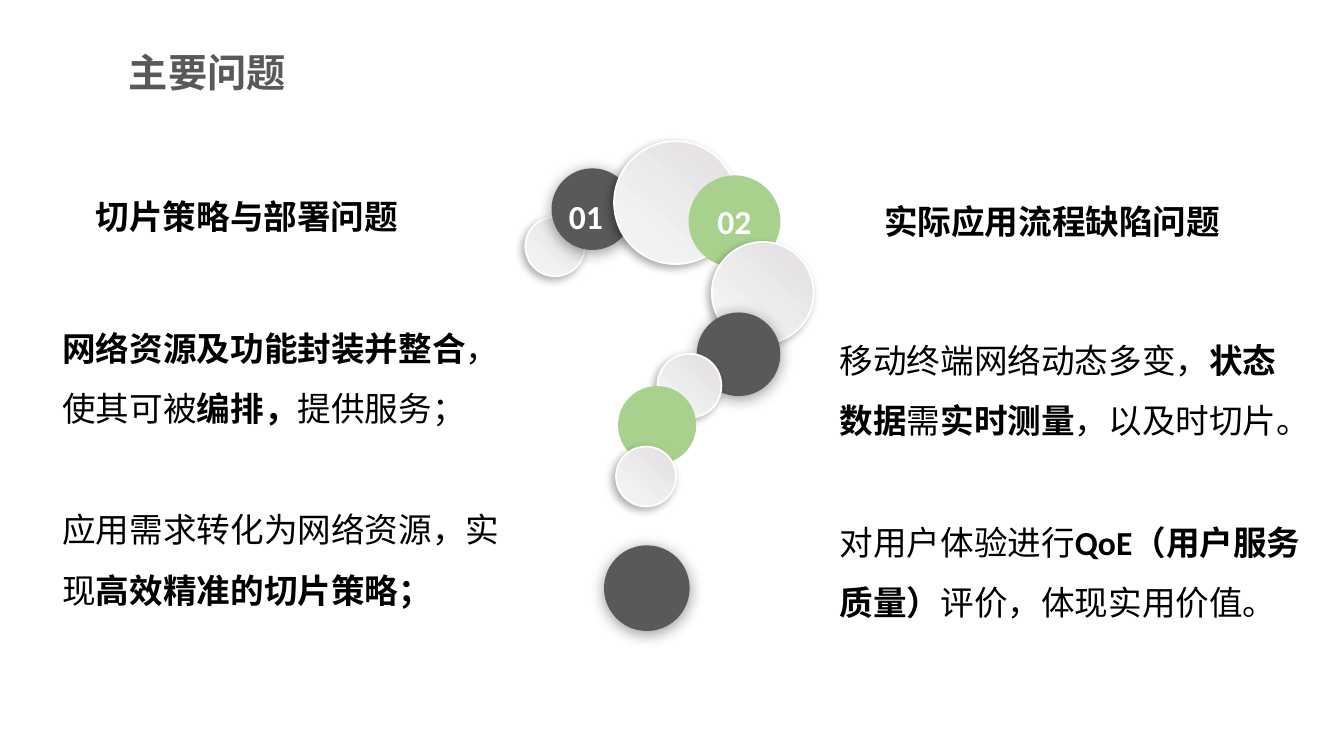
"""Build the slide on the main problems, with a question mark made of discs."""
from dataclasses import dataclass

from lxml import etree
from pptx import Presentation
from pptx.dml.color import RGBColor
from pptx.enum.shapes import MSO_SHAPE
from pptx.enum.text import MSO_ANCHOR, MSO_AUTO_SIZE, PP_ALIGN
from pptx.oxml.ns import qn
from pptx.slide import Slide
from pptx.text.text import TextFrame
from pptx.util import Inches, Pt

OVAL = MSO_SHAPE.OVAL
MIDDLE = MSO_ANCHOR.MIDDLE
GROW = MSO_AUTO_SIZE.SHAPE_TO_FIT_TEXT
LEFT, CENTER = PP_ALIGN.LEFT, PP_ALIGN.CENTER

PAGE_WIDTH, PAGE_HEIGHT = Inches(13.33), Inches(7.5)
ROWS = 75
CELL = PAGE_HEIGHT / ROWS


@dataclass(frozen=True)
class Theme:
    """Colours, fonts and type sizes of the slide."""
    gray: str = "595959"
    green: str = "A9D18E"
    white: str = "FFFFFF"
    black: str = "000000"
    pearl_dark: str = "E2DDE1"
    pearl_light: str = "F2F2F2"
    title_font: str = "Noto Sans CJK SC"
    body_font: str = "Calibri"
    title_size: float = 28
    body_size: float = 24
    line_spacing: float = 1.5
    paragraph_gap: float = 43.5
    rim: float = 1.25


THEME = Theme()


@dataclass(frozen=True)
class Shadow:
    """Outer shadow: opacity in percent, blur and distance in points, angle in degrees."""
    opacity: int
    blur: int
    distance: int
    angle: int


SOFT_SHADOW = Shadow(32, 6, 3, 135)
DEEP_SHADOW = Shadow(40, 11, 2, 90)


@dataclass(frozen=True)
class Disc:
    """Disc placed by grid column, row and diameter; no colour means pearl."""
    column: float
    row: float
    diameter: float
    color: str | None = None
    shadow: Shadow | None = SOFT_SHADOW
    label: str = ""


@dataclass(frozen=True)
class Span:
    """Piece of text in one weight."""
    text: str
    bold: bool = False


@dataclass(frozen=True)
class TextBlock:
    """Text box placed on the grid, with its paragraphs and type."""
    column: float
    row: float
    width: float
    height: float
    paragraphs: list[list[Span]]
    font: str = THEME.body_font
    size: float = THEME.body_size
    color: str = THEME.black
    align: PP_ALIGN = LEFT
    spacing: float = THEME.line_spacing


DISCS = [
    Disc(52.1, 21.5, 5.9),
    Disc(54.7, 16.7, 8.1, THEME.gray, DEEP_SHADOW),
    Disc(60.9, 14, 12.2),
    Disc(68.3, 17.4, 9.1, THEME.green, None, "02"),
    Disc(70.6, 24, 10.1),
    Disc(69.1, 31, 8.3, THEME.gray, DEEP_SHADOW),
    Disc(65.2, 35.1, 6.35),
    Disc(61.3, 38.3, 7.75, THEME.green, None),
    Disc(61.1, 44.3, 5.95),
    Disc(59.9, 54.1, 8.5, THEME.gray, DEEP_SHADOW),
]

BLOCKS = [
    TextBlock(11.8, 4.3, 42.8, 5.7, [[Span("主要问题", True)]],
              THEME.title_font, THEME.title_size, THEME.gray, spacing=1.0),
    TextBlock(54, 18.9, 8.2, 5, [[Span("01", True)]],
              color=THEME.white, align=CENTER, spacing=1.0),
    TextBlock(8.5, 16.9, 40.8, 7.1, [[Span("切片策略与部署问题", True)]]),
    TextBlock(82.3, 31.2, 48.3, 31.3, [
        [Span("移动终端网络动态多变，"), Span("状态数据", True), Span("需"),
         Span("实时测量", True), Span("，以及时切片。")],
        [Span("对用户体验进行"), Span("QoE（用户服务质量）", True),
         Span("评价，体现实用价值。")],
    ]),
    TextBlock(86.7, 17.4, 38.2, 7.1, [[Span("实际应用流程缺陷问题", True)]]),
    TextBlock(5.2, 30, 46.2, 31.3, [
        [Span("网络资源及功能封装并整合", True), Span("，使其可被"),
         Span("编排，", True), Span("提供服务；")],
        [Span("应用需求转化为网络资源，实现"), Span("高效精准的切片策略；", True)],
    ]),
]


def grid(*cells: float) -> list[int]:
    """Turn grid cells into slide lengths."""
    return [round(cell * CELL) for cell in cells]


def apply(target: object, values: dict[str, object]) -> None:
    """Set every named attribute on the target."""
    for name, value in values.items():
        setattr(target, name, value)


def write(frame: TextFrame, block: TextBlock) -> None:
    """Fill a text frame with the paragraphs of a block."""
    for index, spans in enumerate(block.paragraphs):
        para = frame.add_paragraph() if index else frame.paragraphs[0]
        apply(para, {"alignment": block.align, "line_spacing": block.spacing,
                     "space_before": Pt(THEME.paragraph_gap if index else 0)})
        for span in spans:
            run = para.add_run()
            run.text = span.text
            apply(run.font, {"name": block.font, "size": Pt(block.size), "bold": span.bold})
            run.font.color.rgb = RGBColor.from_string(block.color)
            properties = run._r.get_or_add_rPr()
            etree.SubElement(properties, qn("a:ea"), typeface=block.font)


def draw_block(page: Slide, block: TextBlock) -> None:
    """Add a text box."""
    box = page.shapes.add_textbox(*grid(block.column, block.row, block.width, block.height))
    apply(box.text_frame, {"word_wrap": True, "auto_size": GROW})
    write(box.text_frame, block)


def draw_disc(page: Slide, disc: Disc) -> None:
    """Add a disc with its fill, rim, shadow and label."""
    shape = page.shapes.add_shape(
        OVAL, *grid(disc.column, disc.row, disc.diameter, disc.diameter))
    if disc.color:
        shape.fill.solid()
        shape.fill.fore_color.rgb = RGBColor.from_string(disc.color)
        shape.line.fill.background()
    else:
        shape.fill.gradient()
        shape.fill.gradient_angle = 230
        stops = ((THEME.pearl_dark, 0), (THEME.pearl_light, 0.76))
        for stop, (color, position) in zip(shape.fill.gradient_stops, stops):
            stop.color.rgb = RGBColor.from_string(color)
            stop.position = position
        shape.line.color.rgb = RGBColor.from_string(THEME.white)
        shape.line.width = Pt(THEME.rim)
    shape.shadow.inherit = False
    if disc.shadow:
        effects = shape._element.spPr.find(qn("a:effectLst"))
        outer = etree.SubElement(
            effects, qn("a:outerShdw"), blurRad=str(Pt(disc.shadow.blur)),
            dist=str(Pt(disc.shadow.distance)), dir=str(disc.shadow.angle * 60000),
            algn="ctr", rotWithShape="0")
        tint = etree.SubElement(outer, qn("a:srgbClr"), val=THEME.black)
        etree.SubElement(tint, qn("a:alpha"), val=str(disc.shadow.opacity * 1000))
    if disc.label:
        shape.text_frame.vertical_anchor = MIDDLE
        write(shape.text_frame, TextBlock(
            disc.column, disc.row, disc.diameter, disc.diameter,
            [[Span(disc.label, True)]], color=THEME.white, align=CENTER, spacing=1.0))


def main() -> None:
    """Build and save the deck."""
    deck = Presentation()
    apply(deck, {"slide_width": PAGE_WIDTH, "slide_height": PAGE_HEIGHT})
    page = deck.slides.add_slide(deck.slide_layouts[6])
    for disc in DISCS:
        draw_disc(page, disc)
    for block in BLOCKS:
        draw_block(page, block)
    deck.save("out.pptx")


if __name__ == "__main__":
    main()
